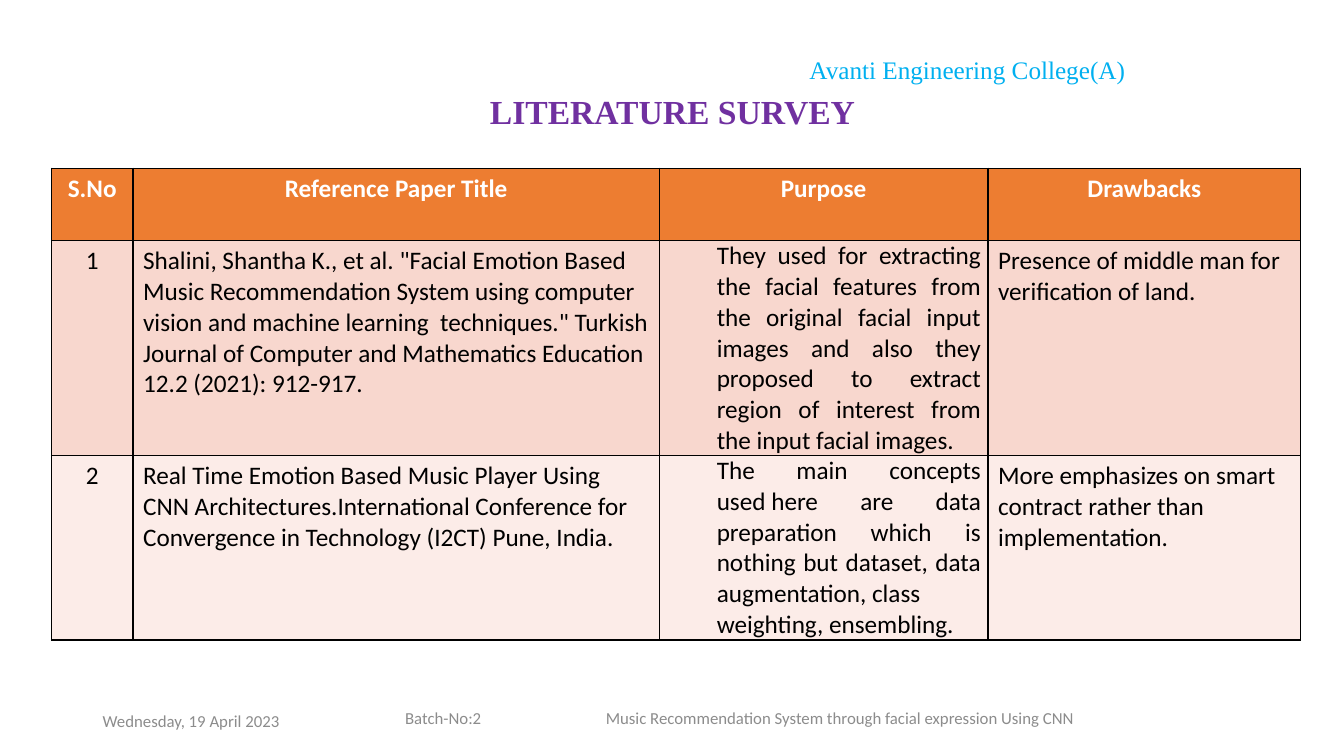
from pptx import Presentation
from pptx.dml.color import RGBColor
from pptx.enum.text import MSO_ANCHOR as Anchor, PP_ALIGN as Align
from pptx.oxml import parse_xml
from pptx.oxml.ns import nsdecls
from pptx.util import Inches, Pt

COLORS = {
    "college": "00B0F0",
    "title": "7030A0",
    "footer": "8C8C8C",
    "header": "ED7D31",
    "odd_row": "F8D7CE",
    "even_row": "FCECE8",
    "white": "FFFFFF",
    "black": "000000",
}
SERIF, SANS = "Times New Roman", "Calibri"

COLUMN_WIDTHS = [0.81, 5.22, 3.26, 3.1]
ROW_HEIGHTS = [0.72, 2.13, 1.83]
PURPOSE_COLUMN = 2
SURVEY = [
    ["S.No", "Reference Paper Title", "Purpose", "Drawbacks"],
    ["1",
     "Shalini,\u00a0Shantha\u00a0K., et al. \"Facial Emotion Based Music "
     "Recommendation System using computer vision\u00a0and machine "
     "learning\u00a0 techniques.\" Turkish Journal of Computer and "
     "Mathematics Education 12.2 (2021): 912-917.",
     "They used for extracting the facial features from the original facial "
     "input images and also they proposed to extract region of interest from "
     "the input facial images.",
     "Presence of middle man for verification of land."],
    ["2",
     "Real Time Emotion Based Music Player Using CNN "
     "Architectures.International Conference for Convergence in Technology "
     "(I2CT) Pune, India.",
     "The main concepts used\u00a0here are data preparation which is nothing "
     "but dataset, data augmentation,\u00a0class weighting, ensembling.",
     "More emphasizes on smart contract rather than implementation."],
]


def style_paragraph(para, face, size, color, bold=False, align=Align.LEFT):
    """Set the font and alignment of one paragraph."""
    para.alignment = align
    para.font.name = face
    para.font.size = Pt(size)
    para.font.bold = bold
    para.font.color.rgb = RGBColor.from_string(COLORS[color])


def add_text(page, text, place, face, size, color, anchor=Anchor.MIDDLE,
             wrap=True, **style):
    """Add a one-paragraph text box and return its paragraph."""
    box = page.shapes.add_textbox(*(Inches(value) for value in place))
    frame = box.text_frame
    frame.word_wrap = wrap
    frame.vertical_anchor = anchor
    para = frame.paragraphs[0]
    para.text = text
    style_paragraph(para, face, size, color, **style)
    return para


def add_borders(cell):
    """Draw a thin line on all four sides of a cell."""
    properties = cell._tc.get_or_add_tcPr()
    for side in ("lnL", "lnR", "lnT", "lnB"):
        properties.append(parse_xml(
            f'<a:{side} {nsdecls("a")} w="{Pt(1)}"><a:solidFill>'
            f'<a:srgbClr val="{COLORS["black"]}"/></a:solidFill></a:{side}>'))


def indent_purpose(cell):
    """Justify and indent the text of a purpose cell."""
    cell.margin_left = cell.margin_right = Inches(0.07)
    cell.margin_top = cell.margin_bottom = 0
    para = cell.text_frame.paragraphs[0]
    para.alignment = Align.JUSTIFY
    para.space_after = Pt(8)
    properties = para._p.get_or_add_pPr()
    properties.set("marL", str(Inches(0.5)))
    properties.set("indent", "0")


def fill_cell(cell, text, row, column):
    """Write one survey cell with the look of its row and column."""
    is_header = row == 0
    add_borders(cell)
    fill = "header" if is_header else ("odd_row" if row % 2 else "even_row")
    cell.fill.solid()
    cell.fill.fore_color.rgb = RGBColor.from_string(COLORS[fill])
    cell.text = text
    style_paragraph(cell.text_frame.paragraphs[0], SANS, 18,
                    "white" if is_header else "black", bold=is_header,
                    align=Align.CENTER if is_header or column == 0 else Align.LEFT)
    if column == PURPOSE_COLUMN and not is_header:
        indent_purpose(cell)


def add_survey_table(page, left, top):
    """Add the literature table."""
    table = page.shapes.add_table(
        len(SURVEY), len(COLUMN_WIDTHS), Inches(left), Inches(top),
        Inches(sum(COLUMN_WIDTHS)), Inches(sum(ROW_HEIGHTS))).table
    table.horz_banding = False
    for column, width in zip(table.columns, COLUMN_WIDTHS):
        column.width = Inches(width)
    for row, height in zip(table.rows, ROW_HEIGHTS):
        row.height = Inches(height)
    for row, texts in enumerate(SURVEY):
        for column, text in enumerate(texts):
            fill_cell(table.cell(row, column), text, row, column)


def main():
    """Build the literature survey slide."""
    deck = Presentation()
    deck.slide_width, deck.slide_height = Inches(13.33), Inches(7.5)
    page = deck.slides.add_slide(deck.slide_layouts[6])

    add_text(page, "Avanti Engineering College(A)", (7.93, 0.49, 3.39, 0.4),
             SERIF, 18, "college", anchor=Anchor.TOP, wrap=False)
    title = add_text(page, "LITERATURE SURVEY", (0.92, 0.4, 11.5, 1.45),
                     SERIF, 24, "title", bold=True, align=Align.CENTER)
    title.line_spacing = 0.9
    add_survey_table(page, 0.51, 1.67)

    for text, place in [
        ("Wednesday, 19 April 2023", (0.92, 6.95, 3, 0.4)),
        ("Batch-No:2", (3.92, 6.92, 1.5, 0.4)),
        ("Music Recommendation System through facial expression Using CNN",
         (5.91, 6.92, 5.55, 0.4)),
    ]:
        add_text(page, text, place, SANS, 12, "footer")

    deck.save("out.pptx")


main()
